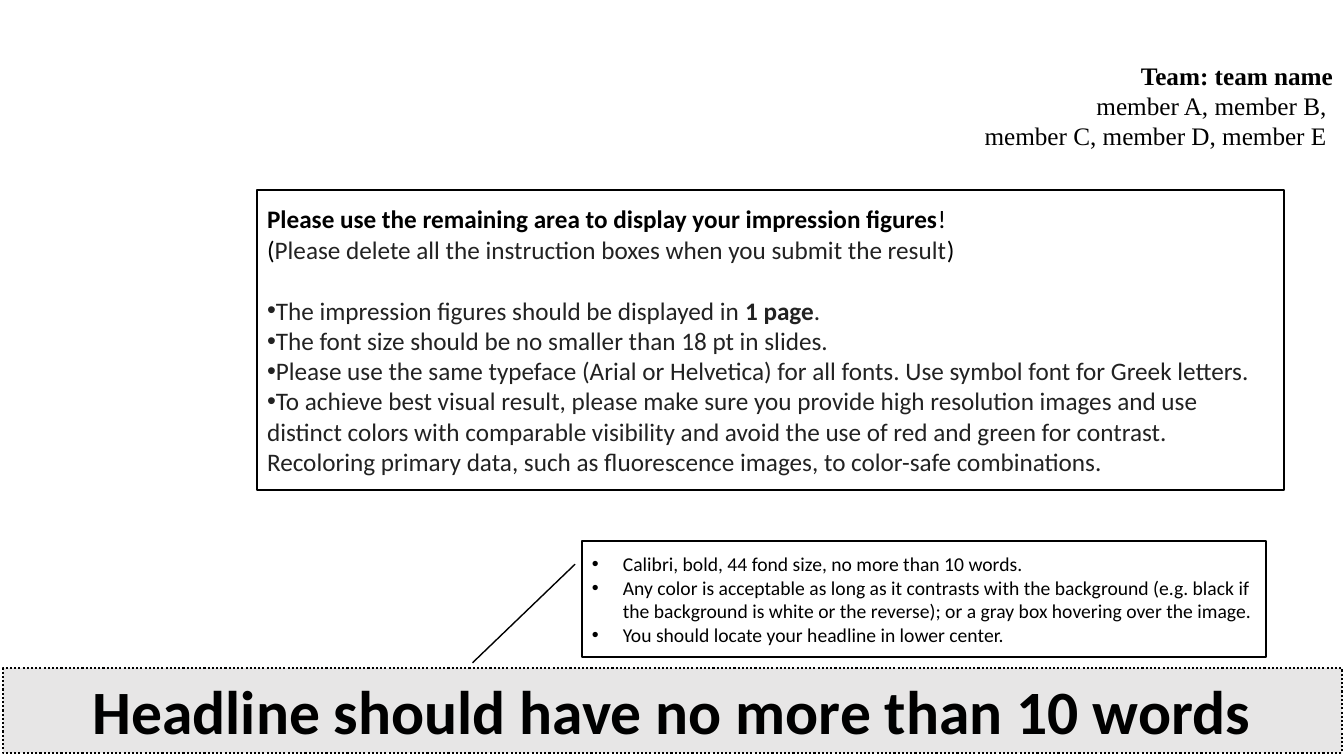
from lxml import etree
from pptx import Presentation
from pptx.dml.color import RGBColor
from pptx.enum.dml import MSO_LINE
from pptx.enum.shapes import MSO_SHAPE
from pptx.enum.text import MSO_ANCHOR, MSO_AUTO_SIZE, PP_ALIGN
from pptx.oxml.ns import qn
from pptx.util import Emu, Pt

LEFT, RIGHT, CENTER = PP_ALIGN.LEFT, PP_ALIGN.RIGHT, PP_ALIGN.CENTER
TOP, MIDDLE = MSO_ANCHOR.TOP, MSO_ANCHOR.MIDDLE
DOT, CALLOUT = MSO_LINE.ROUND_DOT, MSO_SHAPE.LINE_CALLOUT_1
NO_FIT = MSO_AUTO_SIZE.NONE
SCALE = 914400 / 100.8
HANG = 31
BLACK, GRAY, WHITE, DARK = "000000", "E7E6E6", "FFFFFF", "222222"

# A run is (text, bold, colour); a paragraph is a list of runs.
TEAM = [
    [("Team: team name", True, BLACK)],
    [("member A, member B, ", False, BLACK)],
    [("member C, member D, member E ", False, BLACK)],
]
HEADLINE = [[("Headline should have no more than 10 words", True, BLACK)]]
TIPS = [[(text, False, BLACK)] for text in (
    "Calibri, bold, 44 fond size, no more than 10 words.",
    "Any color is acceptable as long as it contrasts with the background "
    "(e.g. black if the background is white or the reverse); or a gray box "
    "hovering over the image. ",
    "You should locate your headline in lower center.",
)]
INTRO = [
    [("Please use the remaining area to display your impression figures",
      True, BLACK), ("! ", False, BLACK)],
    [("(", False, BLACK),
     ("Please delete all the instruction boxes when you submit the result",
      False, DARK), (")", False, BLACK)],
]
RULES = [
    [("The impression figures should be displayed in ", False, DARK),
     ("1 page", True, DARK), (".", False, DARK)],
    [("The font size should be no smaller than 18 pt in slides.", False, DARK)],
    [("Please use the same typeface (Arial or Helvetica) for all fonts. "
      "Use symbol font for Greek letters.", False, DARK)],
    [("To achieve best visual result, please make sure you provide high "
      "resolution images and use distinct colors with comparable visibility "
      "and avoid the use of red and green for contrast. Recoloring primary "
      "data, such as fluorescence images, to color-safe combinations.",
      False, DARK)],
]

TEAM_BOX = (928, 55, 415, 102)
HEAD_BOX = (3, 668, 1339, 85)
TIPS_BOX = (582, 541, 684, 116)
GUIDE_BOX = (257, 190, 1027, 300)
POINTER = (0.2, -0.01, 1.05, -0.16)


def px(num):
    """Turn pixels into EMU."""
    return Emu(round(num * SCALE))


def color(code):
    """Turn a hex string into a colour."""
    return RGBColor.from_string(code)


def apply(item, values):
    """Set each attribute in a dict of format values."""
    for name, value in values.items():
        setattr(item, name, value)


def place(shape, box):
    """Move and size a shape."""
    names = ("left", "top", "width", "height")
    apply(shape, dict(zip(names, map(px, box))))


def paint(shape, fill, width, dash=None):
    """Give a shape its fill and black outline."""
    if fill:
        shape.fill.solid()
        shape.fill.fore_color.rgb = color(fill)
    else:
        shape.fill.background()
    shape.line.color.rgb = color(BLACK)
    apply(shape.line, {"width": Pt(width), "dash_style": dash})


def mark(para, margin, bullet):
    """Set the indent and bullet of a paragraph."""
    props = para._p.get_or_add_pPr()
    props.set("marL", str(px(margin)))
    props.set("indent", str(px(-HANG if bullet else 0)))
    if bullet:
        etree.SubElement(props, qn("a:buFont")).set("typeface", "Arial")
        etree.SubElement(props, qn("a:buChar")).set("char", "•")
    else:
        etree.SubElement(props, qn("a:buNone"))


def write(shape, paras, size, font="Calibri", align=LEFT, anchor=MIDDLE,
          first=None, margin=0, gap=0):
    """Fill a shape with text, with bullets from paragraph first on."""
    frame = shape.text_frame
    apply(frame, {"word_wrap": True, "auto_size": NO_FIT,
                  "vertical_anchor": anchor})
    for index, runs in enumerate(paras):
        para = frame.add_paragraph() if index else frame.paragraphs[0]
        space = Pt(gap if index == first else 0)
        apply(para, {"alignment": align, "space_before": space})
        mark(para, margin, first is not None and index >= first)
        for text, bold, code in runs:
            run = para.add_run()
            run.text = text
            apply(run.font, {"name": font, "size": Pt(size), "bold": bold})
            run.font.color.rgb = color(code)


deck = Presentation()
apply(deck, {"slide_width": px(1344), "slide_height": px(756)})
slide = deck.slides.add_slide(deck.slide_layouts[1])

team = slide.shapes.add_textbox(*map(px, TEAM_BOX))
write(team, TEAM, 18, "Times New Roman", RIGHT, TOP)

head = slide.shapes.title
place(head, HEAD_BOX)
paint(head, GRAY, 1.5, DOT)
write(head, HEADLINE, 44, align=CENTER, anchor=TOP)

tips = slide.shapes.add_shape(CALLOUT, *map(px, TIPS_BOX))
tips.shadow.inherit = False
for index, value in enumerate(POINTER):
    tips.adjustments[index] = value
paint(tips, WHITE, 1)
write(tips, TIPS, 14, first=0, margin=HANG)

guide = slide.placeholders[1]
place(guide, GUIDE_BOX)
paint(guide, None, 1)
write(guide, INTRO + RULES, 18, first=len(INTRO), gap=22)

deck.save("out.pptx")
